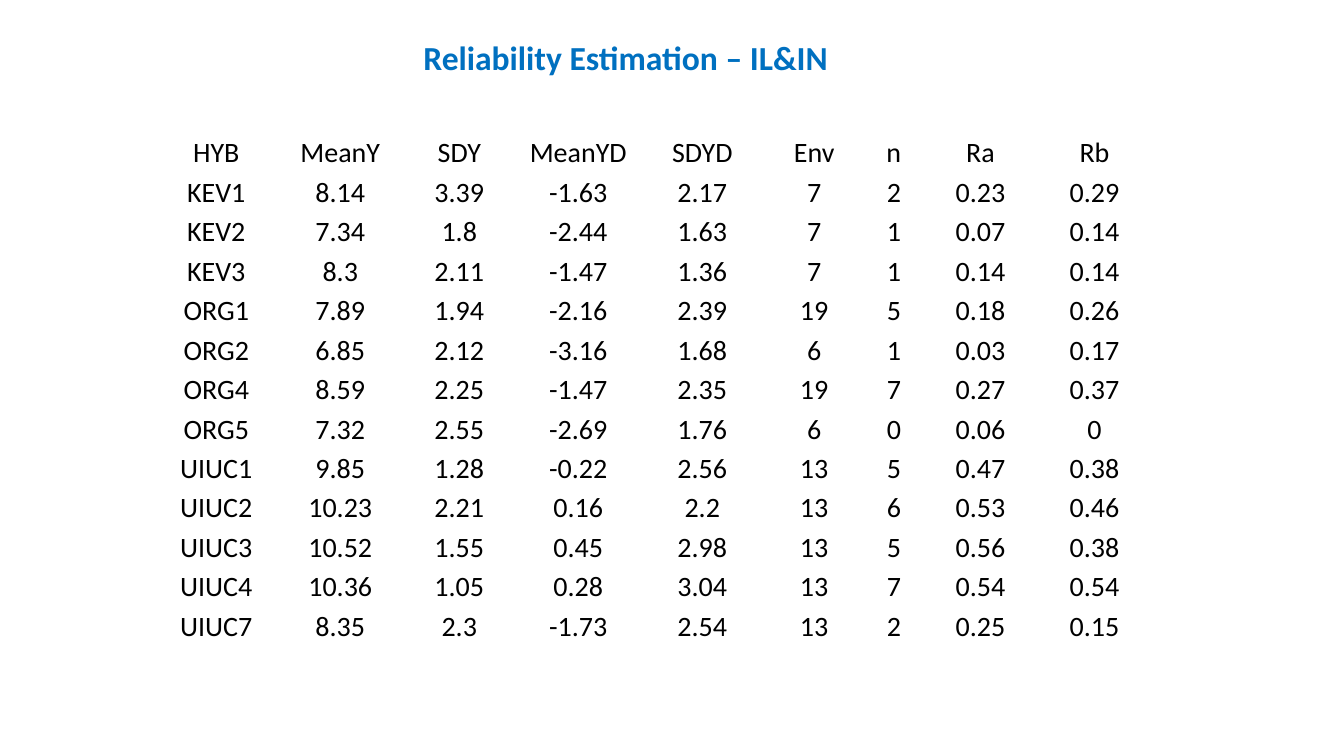
from dataclasses import dataclass

from pptx import Presentation
from pptx.dml.color import RGBColor
from pptx.enum.text import MSO_ANCHOR, MSO_AUTO_SIZE, PP_ALIGN
from pptx.util import Pt


@dataclass(frozen=True)
class Theme:
    font: str = "Calibri"
    blue: str = "0070C0"
    black: str = "000000"
    head: int = 24
    body: int = 20


class Deck:
    """Holds the theme and the current slide, and adds elements to it."""

    def __init__(self, theme, slide):
        self.theme = theme
        self.slide = slide

    def add_text(self, para, text, size, color, bold=False):
        run = para.add_run()
        run.text = text
        run.font.name = self.theme.font
        run.font.size = Pt(size)
        run.font.bold = bold
        run.font.color.rgb = RGBColor.from_string(color)

    def title(self, text, left, top, width, height):
        shape = self.slide.shapes.title
        shape.left, shape.top = Pt(left), Pt(top)
        shape.width, shape.height = Pt(width), Pt(height)
        frame = shape.text_frame
        frame.word_wrap = True
        frame.auto_size = MSO_AUTO_SIZE.NONE
        frame.vertical_anchor = MSO_ANCHOR.TOP
        para = frame.paragraphs[0]
        para.alignment = PP_ALIGN.LEFT
        self.add_text(para, text, self.theme.head, self.theme.blue, True)

    def cell(self, cell, text):
        cell.fill.background()
        cell.vertical_anchor = MSO_ANCHOR.BOTTOM
        cell.margin_left = cell.margin_right = cell.margin_top = Pt(1.2)
        cell.margin_bottom = Pt(0)
        para = cell.text_frame.paragraphs[0]
        para.alignment = PP_ALIGN.CENTER
        if text:
            self.add_text(para, text, self.theme.body, self.theme.black)

    def table(self, data, left, top, widths, heights):
        table = self.slide.shapes.add_table(
            len(heights), len(widths), Pt(left), Pt(top),
            Pt(sum(widths)), Pt(sum(heights))).table
        table.first_row = table.horz_banding = False
        for col, width in zip(table.columns, widths):
            col.width = Pt(width)
        for row, height in zip(table.rows, heights):
            row.height = Pt(height)
        for r in range(len(heights)):
            for c in range(len(widths)):
                full = r < len(data) and c < len(data[r])
                self.cell(table.cell(r, c), data[r][c] if full else "")


DATA = """HYB MeanY SDY MeanYD SDYD Env n Ra Rb
KEV1 8.14 3.39 -1.63 2.17 7 2 0.23 0.29
KEV2 7.34 1.8 -2.44 1.63 7 1 0.07 0.14
KEV3 8.3 2.11 -1.47 1.36 7 1 0.14 0.14
ORG1 7.89 1.94 -2.16 2.39 19 5 0.18 0.26
ORG2 6.85 2.12 -3.16 1.68 6 1 0.03 0.17
ORG4 8.59 2.25 -1.47 2.35 19 7 0.27 0.37
ORG5 7.32 2.55 -2.69 1.76 6 0 0.06 0
UIUC1 9.85 1.28 -0.22 2.56 13 5 0.47 0.38
UIUC2 10.23 2.21 0.16 2.2 13 6 0.53 0.46
UIUC3 10.52 1.55 0.45 2.98 13 5 0.56 0.38
UIUC4 10.36 1.05 0.28 3.04 13 7 0.54 0.54
UIUC7 8.35 2.3 -1.73 2.54 13 2 0.25 0.15"""


def main():
    show = Presentation()
    show.slide_width, show.slide_height = Pt(960), Pt(540)
    deck = Deck(Theme(), show.slides.add_slide(show.slide_layouts[5]))
    deck.title("Reliability Estimation – IL&IN", 295.2, 23, 366.5, 36)
    data = [line.split() for line in DATA.splitlines()]
    widths = [88.6, 88.6, 81.4, 88.6, 88.6, 71.3, 42.5, 81.4, 81.4, 59.8]
    deck.table(data, 110.2, 93.6, widths, [28.2] * len(data) + [30.8])
    show.save("out.pptx")


if __name__ == "__main__":
    main()
